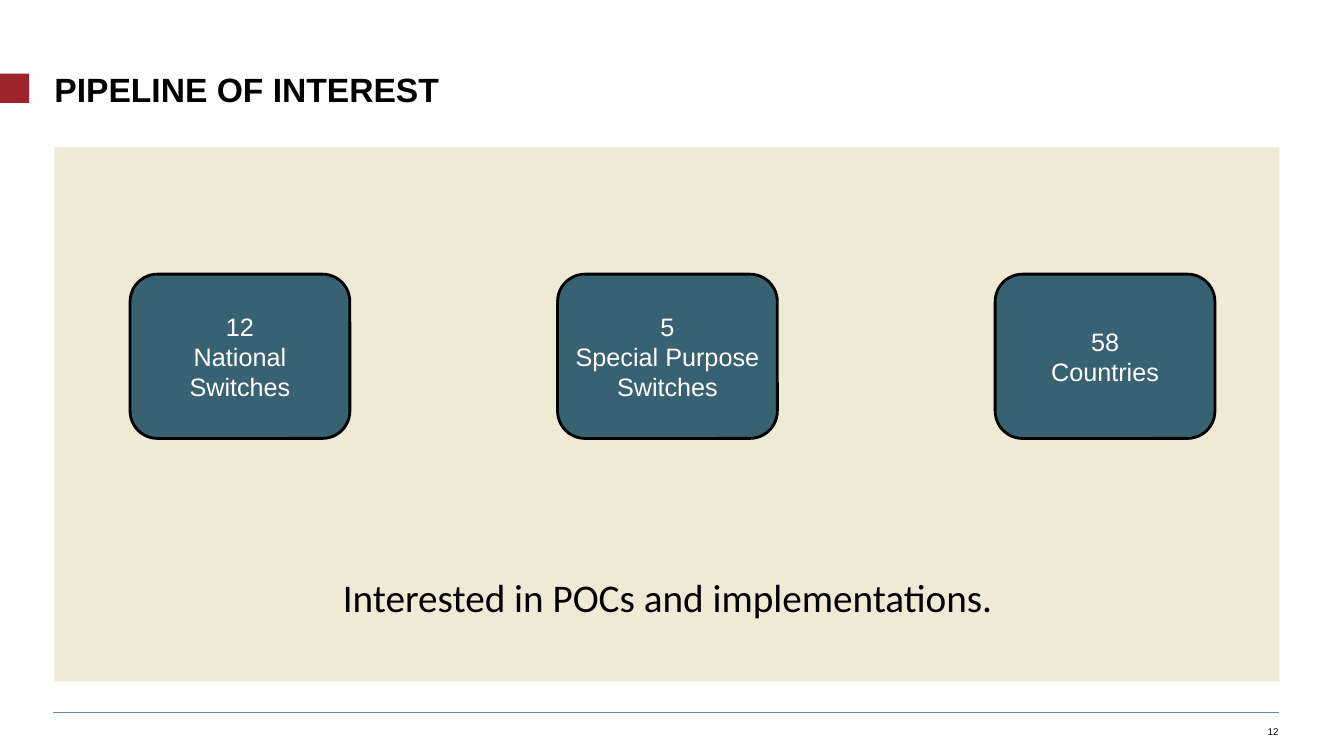
from dataclasses import dataclass

import pptx
import pptx.dml.color
import pptx.enum.shapes
import pptx.enum.text
import pptx.oxml
import pptx.util

Inches = pptx.util.Inches
Pt = pptx.util.Pt
Align = pptx.enum.text.PP_ALIGN
Anchor = pptx.enum.text.MSO_ANCHOR
Kind = pptx.enum.shapes.MSO_SHAPE

COLORS = {
    "red": "9B242D",
    "rule": "5393AB",
    "sand": "EEEAD6",
    "teal": "386272",
    "black": "000000",
    "white": "FFFFFF",
}


@dataclass
class Box:
    left: float
    top: float
    width: float
    height: float


@dataclass
class Style:
    size: float
    color: str = "black"
    font: str = "Arial"
    bold: bool = False
    align: Align = Align.CENTER


@dataclass
class Card:
    left: float
    lines: list[str]


CARDS = [
    Card(1.29, ["12", "National", "Switches"]),
    Card(5.53, ["5", "Special Purpose", "Switches"]),
    Card(9.87, ["58", "Countries"]),
]


def get_color(name: str) -> pptx.dml.color.RGBColor:
    return pptx.dml.color.RGBColor.from_string(COLORS[name])


def place(box: Box) -> list[int]:
    return [Inches(n) for n in (box.left, box.top, box.width, box.height)]


def write(frame, lines: list[str], style: Style, anchor: Anchor, side: float, edge: float) -> None:
    frame.word_wrap = True
    frame.vertical_anchor = anchor
    frame.margin_left = frame.margin_right = Inches(side)
    frame.margin_top = frame.margin_bottom = Inches(edge)
    for i, line in enumerate(lines):
        para = frame.add_paragraph() if i else frame.paragraphs[0]
        para.text = line
        para.alignment = style.align
        para.font.size = Pt(style.size)
        para.font.name = style.font
        para.font.bold = style.bold
        para.font.color.rgb = get_color(style.color)


def add_block(slide, kind: Kind, box: Box, fill: str, line: str | None = None):
    shape = slide.shapes.add_shape(kind, *place(box))
    shape.shadow.inherit = False
    shape.fill.solid()
    shape.fill.fore_color.rgb = get_color(fill)
    if line:
        shape.line.color.rgb = get_color(line)
        shape.line.width = Pt(2)
    else:
        shape.line.fill.background()
    return shape


def add_text(slide, box: Box, text: str, style: Style, anchor: Anchor, edge: float = 0):
    label = slide.shapes.add_textbox(*place(box))
    write(label.text_frame, [text], style, anchor, 0, edge)
    return label


def add_rule(slide, left: float, right: float, top: float) -> None:
    rule = slide.shapes.add_connector(
        pptx.enum.shapes.MSO_CONNECTOR.STRAIGHT,
        Inches(left), Inches(top), Inches(right), Inches(top),
    )
    rule.line.color.rgb = get_color("rule")
    rule.line.width = Pt(0.5)
    props = rule._element.spPr
    props.append(pptx.oxml.parse_xml(
        '<a:effectLst xmlns:a="http://schemas.openxmlformats.org/drawingml/2006/main"/>'
    ))


def add_title(slide, text: str) -> None:
    title = slide.shapes.title
    title.left, title.top, title.width, title.height = place(Box(0.54, 0.71, 12.15, 0.32))
    style = Style(24, bold=True, align=Align.LEFT)
    write(title.text_frame, [text], style, Anchor.MIDDLE, 0, 0)
    para = title.text_frame.paragraphs[0]
    para.line_spacing = Pt(30.7)
    para.space_after = Pt(4)


def main() -> None:
    deck = pptx.Presentation()
    deck.slide_width = Inches(13.33)
    deck.slide_height = Inches(7.5)
    slide = deck.slides.add_slide(deck.slide_layouts[6])

    add_block(slide, Kind.RECTANGLE, Box(0, 0.73, 0.29, 0.29), "red")
    add_rule(slide, 0.53, 12.69, 7.07)
    title = add_text(
        slide, Box(0.54, 0.71, 12.15, 0.32), "PIPELINE OF INTEREST",
        Style(24, bold=True, align=Align.LEFT), Anchor.MIDDLE,
    )
    head = title.text_frame.paragraphs[0]
    head.line_spacing = Pt(30.7)
    head.space_after = Pt(4)
    add_text(
        slide, Box(12.08, 7.14, 0.6, 0.23), "12",
        Style(7, align=Align.RIGHT), Anchor.MIDDLE, 0.05,
    )

    add_block(slide, Kind.RECTANGLE, Box(0.54, 1.46, 12.15, 5.3), "sand")
    for card in CARDS:
        shape = add_block(
            slide, Kind.ROUNDED_RECTANGLE, Box(card.left, 2.72, 2.18, 1.63), "teal", "black"
        )
        write(shape.text_frame, card.lines, Style(18, "white"), Anchor.MIDDLE, 0.05, 0.05)
    add_text(
        slide, Box(0.55, 5.69, 12.14, 0.61), "Interested in POCs and implementations.",
        Style(28, font="Calibri"), Anchor.TOP,
    )
    deck.save("out.pptx")


if __name__ == "__main__":
    main()
